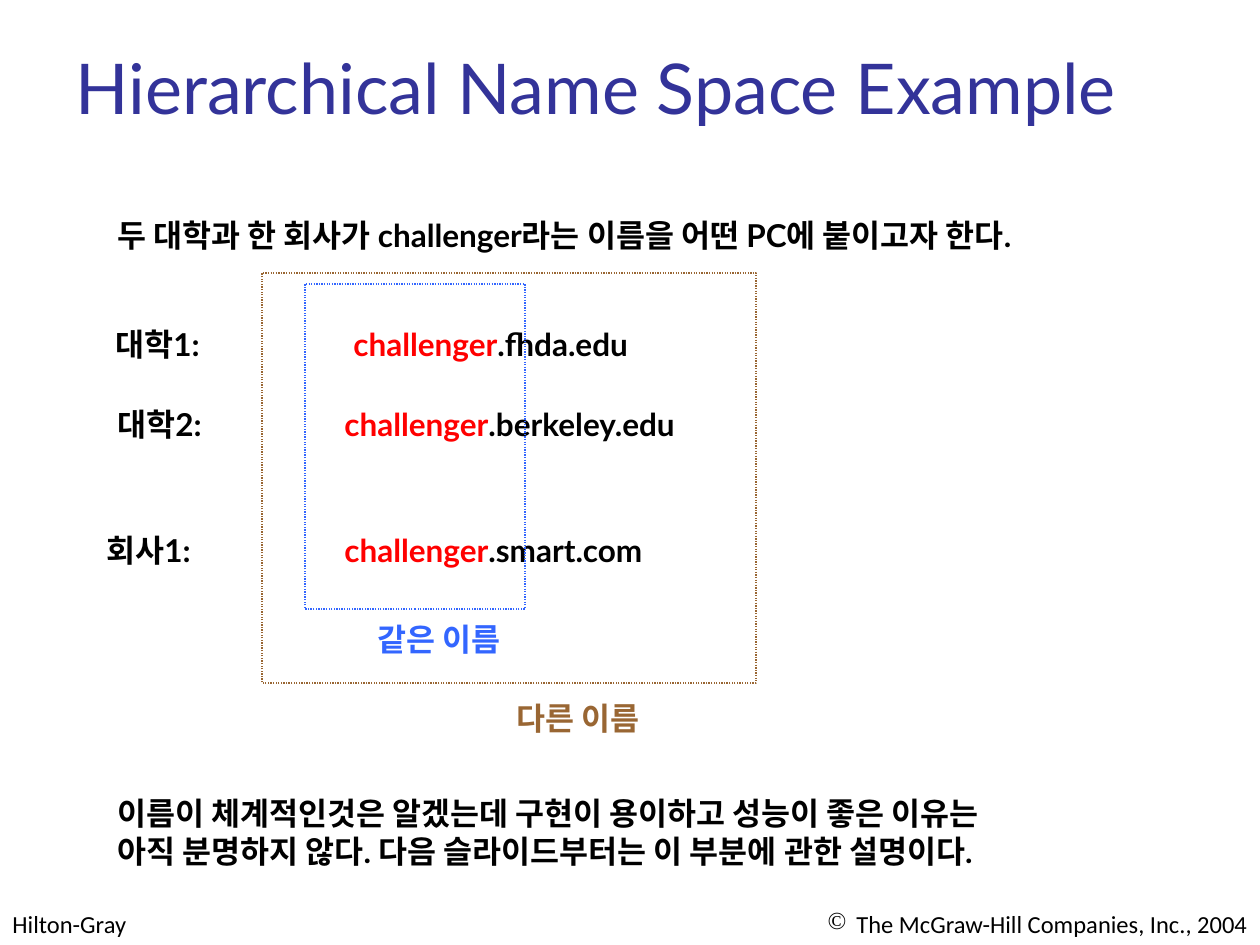
from pptx import Presentation
from pptx.dml.color import RGBColor
from pptx.enum.dml import MSO_LINE
from pptx.enum.shapes import MSO_SHAPE
from pptx.enum.text import MSO_ANCHOR, PP_ALIGN
from pptx.oxml.ns import qn
from pptx.util import Pt
from lxml.etree import SubElement

# Content
TITLE = "Hierarchical Name Space Example"
INTRO = "두 대학과 한 회사가 challenger라는 이름을 어떤 PC에 붙이고자 한다."
HOST = "challenger"
# label, domain, label left, host left, top
ROWS = [
    ("대학1:", ".fhda.edu", 103, 341, 319),
    ("대학2:", ".berkeley.edu", 105, 332, 399),
    ("회사1:", ".smart.com", 94, 332, 525),
]
# colour, frame box, caption, caption left and top
FRAMES = [
    ("same", (305, 284, 220, 325), "같은 이름", (365, 614)),
    ("other", (262, 273, 494, 410), "다른 이름", (504, 693)),
]
CLOSE = [
    "이름이 체계적인것은 알겠는데 구현이 용이하고 성능이 좋은 이유는",
    "아직 분명하지 않다. 다음 슬라이드부터는 이 부분에 관한 설명이다.",
]
MAKER = "Hilton-Gray"
RIGHTS = "The McGraw-Hill Companies, Inc., 2004"

THEME = {
    "ink": "000000", "title": "333399", "host": "FF0000",
    "same": "3366FF", "other": "996633",
    "font": "Lato", "foot": "Calibri",
    "big": 40, "body": 18, "small": 14, "line": 0.75,
}
WIDE, HIGH = 1260, 945
LINE_H = 50


def px(num):
    return round(num * 914400 / 126)


def rgb(name):
    return RGBColor.from_string(THEME[name])


def write(shape, paras, size="body", font="font", color="ink", bold=True,
          align=PP_ALIGN.LEFT, bullet=None):
    """Each paragraph is a string or a list of (text, colour) runs."""
    frame = shape.text_frame
    frame.word_wrap = True
    frame.vertical_anchor = MSO_ANCHOR.TOP
    for i, runs in enumerate(paras):
        para = frame.add_paragraph() if i else frame.paragraphs[0]
        para.alignment = align
        if bullet:
            props = para._p.get_or_add_pPr()
            props.set("marL", str(px(29)))
            props.set("indent", str(-px(29)))
            SubElement(props, qn("a:buChar")).set("char", bullet)
        if isinstance(runs, str):
            runs = [(runs, color)]
        for text, tint in runs:
            run = para.add_run()
            run.text = text
            run.font.name = THEME[font]
            run.font.size = Pt(THEME[size])
            run.font.bold = bold
            run.font.color.rgb = rgb(tint)


deck = Presentation()
deck.slide_width, deck.slide_height = px(WIDE), px(HIGH)
slide = deck.slides.add_slide(deck.slide_layouts[5])


def label(left, top, width, paras, high=LINE_H, **style):
    box = slide.shapes.add_textbox(px(left), px(top), px(width), px(high))
    write(box, paras, **style)


# Footer
foot = {"high": 42, "size": "small", "font": "foot", "bold": False}
label(0, 903, 305, [MAKER], **foot)
label(WIDE // 2, 903, WIDE // 2, [RIGHTS], align=PP_ALIGN.RIGHT,
      bullet="©", **foot)

# Title and opening line
title = slide.shapes.title
title.left, title.top, title.width, title.height = map(px, (63, 38, 1134, 157))
write(title, [TITLE], size="big", color="title", bold=False)
label(105, 210, 1004, [INTRO])

# Host names
for name, domain, left, start, top in ROWS:
    label(left, top, 127, [name])
    label(start, top, 416, [[(HOST, "host"), (domain, "ink")]])

# Dotted frames and their captions
for tint, box, text, (left, top) in FRAMES:
    rect = slide.shapes.add_shape(MSO_SHAPE.RECTANGLE, *map(px, box))
    rect.shadow.inherit = False
    rect.fill.background()
    rect.line.color.rgb = rgb(tint)
    rect.line.width = Pt(THEME["line"])
    rect.line.dash_style = MSO_LINE.ROUND_DOT
    label(left, top, 158, [text], color=tint)

# Closing remark
label(105, 788, 963, CLOSE, high=88)

deck.save("out.pptx")
